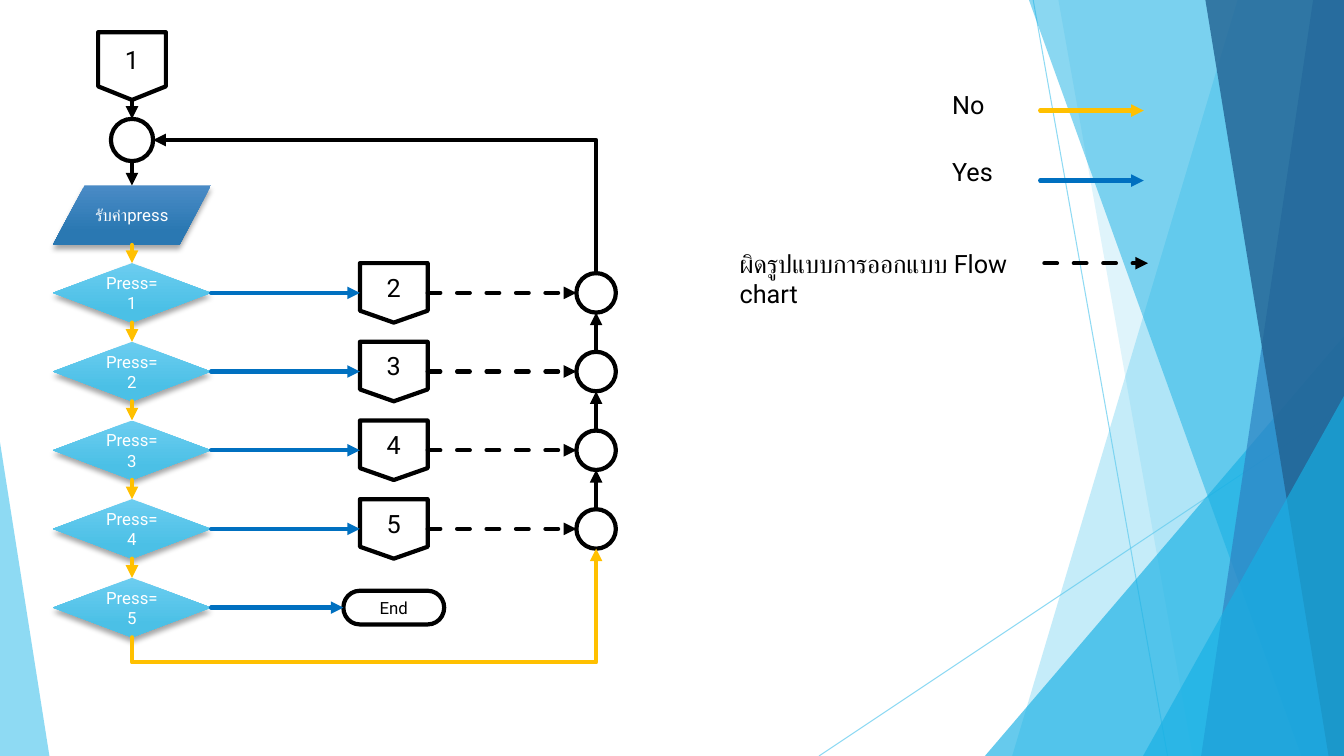
import dataclasses
import pptx
import pptx.dml.color
import pptx.enum.dml
import pptx.enum.shapes
import pptx.enum.text
import pptx.oxml
import pptx.oxml.ns
import pptx.util

Pt = pptx.util.Pt
RGB = pptx.dml.color.RGBColor.from_string
qn = pptx.oxml.ns.qn
FORM = pptx.enum.shapes.MSO_SHAPE
WIRE = pptx.enum.shapes.MSO_CONNECTOR
NS = pptx.oxml.ns.nsdecls("a")


@dataclasses.dataclass
class Theme:
    font: str = "Roboto"
    large: int = 18
    small: int = 12
    black: str = "000000"
    white: str = "FFFFFF"
    no: str = "FFC000"
    yes: str = "0070C0"
    sky: str = "5FCBEF"
    cyan: str = "17B0E4"
    blue: str = "2E83C3"
    navy: str = "226292"
    input: tuple = ("4A8BC6", "2A78B2")
    test: tuple = ("6CCDF0", "4BC0E6")


theme = Theme()
deck = pptx.Presentation()
deck.slide_width, deck.slide_height = Pt(960), Pt(540)
shapes = deck.slides.add_slide(deck.slide_layouts[6]).shapes


def node(form, x, y, w, h, text="", size=theme.large, blend=None):
    """Flowchart symbol centred on x, y; blend gives a shaded, unlined one."""
    box = shapes.add_shape(form, Pt(x - w / 2), Pt(y - h / 2), Pt(w), Pt(h))
    box.shadow.inherit = False
    if blend:
        box.fill.gradient()
        box.fill.gradient_angle = 270
        for stop, color, place in zip(box.fill.gradient_stops, blend, (0, 0.78)):
            stop.color.rgb = RGB(color)
            stop.position = place
        box.line.fill.background()
        box.element.spPr.find(qn("a:effectLst")).append(pptx.oxml.parse_xml(
            f'<a:outerShdw {NS} blurRad="{Pt(4)}" dist="{Pt(3)}" dir="5400000" rotWithShape="0">'
            f'<a:srgbClr val="{theme.black}"><a:alpha val="35000"/></a:srgbClr></a:outerShdw>'))
    else:
        box.fill.solid()
        box.fill.fore_color.rgb = RGB(theme.white)
        box.line.color.rgb = RGB(theme.black)
        box.line.width = Pt(3)
    if text:
        box.text_frame.vertical_anchor = pptx.enum.text.MSO_ANCHOR.MIDDLE
        line = box.text_frame.paragraphs[0]
        line.alignment = pptx.enum.text.PP_ALIGN.CENTER
        run = line.add_run()
        run.text = text
        run.font.name, run.font.size = theme.font, Pt(size)
        run.font.color.rgb = RGB(theme.white if blend else theme.black)
    return box


def link(a, b, color=theme.black, width=3, arrow=True, dash=False,
         kind=WIRE.STRAIGHT, start=None, stop=None):
    """Line from a to b; start and stop are (shape, site) joints."""
    wire = shapes.add_connector(kind, *map(Pt, a + b))
    wire.line.color.rgb = RGB(color)
    wire.line.width = Pt(width)
    if dash:
        wire.line.dash_style = pptx.enum.dml.MSO_LINE.DASH
    props = wire.element.spPr
    if arrow:
        edge = props.find(qn("a:ln"))
        edge.set("cap", "rnd")
        edge.append(pptx.oxml.parse_xml(f'<a:tailEnd {NS} type="triangle"/>'))
    props.append(pptx.oxml.parse_xml(f"<a:effectLst {NS}/>"))
    if start:
        wire.begin_connect(*start)
    if stop:
        wire.end_connect(*stop)
    return wire


# Backdrop: thin lines, then facets as (outline or triangle, colour, opacity)
veils = [(link(a, b, theme.sky, 0.75, arrow=False), 70)
         for a, b in (((738, 0), (834, 540)), ((960, 290), (585, 540)))]
facets = [
    ((884, 723), theme.sky, 36),            # top x, bottom x
    ((756, 852), theme.sky, 20),
    ((703.5, 240, 256.5, 300, 1), theme.cyan, 66),  # left, top, width, height, apex
    ((735, 929.5), theme.cyan, 50),
    ((938, 858), theme.blue, 70),
    ((861, 949), theme.navy, 80),
    ((816.5, 283, 143.5, 257, 1), theme.cyan, 66),
    ((0, 316, 35.3, 224, 0), theme.sky, 70),
]
for place, color, veil in facets:
    if len(place) == 2:
        top, base = place
        pen = shapes.build_freeform(Pt(top), 0)
        pen.add_line_segments([(Pt(960), 0), (Pt(960), Pt(540)), (Pt(base), Pt(540))])
        facet = pen.convert_to_shape()
    else:
        facet = shapes.add_shape(FORM.ISOSCELES_TRIANGLE, *map(Pt, place[:4]))
        facet.adjustments[0] = place[4]
    facet.shadow.inherit = False
    facet.fill.solid()
    facet.fill.fore_color.rgb = RGB(color)
    facet.line.fill.background()
    veils.append((facet, veil))
for part, veil in veils:
    for tint in part.element.spPr.iter(qn("a:srgbClr")):
        tint.append(pptx.oxml.parse_xml(f'<a:alpha {NS} val="{veil * 1000}"/>'))

# Flowchart symbols: three columns on evenly spaced rows
left, mid, right = 94.3, 281.3, 425.8
wide, high, page, ring = 113, 42.5, 48.4, 28.2
rows = [209.2 + 56.2 * i for i in range(5)]
first = node(FORM.FLOWCHART_OFFPAGE_CONNECTOR, left, 47.2, page, page, "1")
node(FORM.FLOWCHART_CONNECTOR, left, 100, 30.2, 30.2)
node(FORM.FLOWCHART_DATA, left, 153.7, wide, high, "รับค่าpress", theme.small, theme.input)
tests = [node(FORM.FLOWCHART_DECISION, left, y, wide, high, f"Press={i}",
              theme.small, theme.test) for i, y in enumerate(rows, 1)]
pages = [node(FORM.FLOWCHART_OFFPAGE_CONNECTOR, mid, y, page, high, str(i))
         for i, y in enumerate(rows[:4], 2)]
finish = node(FORM.FLOWCHART_TERMINATOR, mid, rows[4], 72, 24, "End", theme.small)
rings = [node(FORM.FLOWCHART_CONNECTOR, right, y, ring, ring) for y in rows[:4]]

# Arrows down the left column
link((left, 71.4), (left, 84.9), start=(first, 2))
link((left, 115.1), (left, 132.5))
link((left, 175), (left, rows[0] - high / 2), theme.no, stop=(tests[0], 0))
for i in range(4):
    link((left, rows[i] + high / 2), (left, rows[i + 1] - high / 2), theme.no,
         start=(tests[i], 2), stop=(tests[i + 1], 0))

# Arrows across each row and up the right column
for y, test, goal in zip(rows, tests, pages + [finish]):
    link((left + wide / 2, y), (mid - page / 2, y), theme.yes,
         start=(test, 3), stop=(goal, 1))
for y, goal in zip(rows, pages):
    link((mid + page / 2, y), (right - ring / 2, y), dash=True, start=(goal, 3))
for i in range(3):
    link((right, rows[i + 1] - ring / 2), (right, rows[i] + ring / 2),
         start=(rings[i + 1], 0))

# Elbow arrows: from, to, colour, turn in degrees, flips, preset, bend
elbows = [
    ((left, rows[4] + high / 2), (right, rows[3] + ring / 2), theme.no,
     90, ("flipH", "flipV"), "bentConnector3", -28300),
    ((right, rows[0] - ring / 2), (left + 15.1, 100), theme.black,
     270, ("flipV",), "bentConnector2", None),
]
for a, b, color, turn, flips, form, bend in elbows:
    w, h = abs(b[1] - a[1]), abs(b[0] - a[0])
    x, y = (a[0] + b[0] - w) / 2, (a[1] + b[1] - h) / 2
    wire = link((x, y), (x + w, y + h), color, kind=WIRE.ELBOW)
    frame = wire.element.spPr.find(qn("a:xfrm"))
    frame.set("rot", str(turn * 60000))
    for flip in flips:
        frame.set(flip, "1")
    shape = wire.element.spPr.find(qn("a:prstGeom"))
    shape.set("prst", form)
    if bend:
        shape.find(qn("a:avLst")).append(pptx.oxml.parse_xml(
            f'<a:gd {NS} name="adj1" fmla="val {bend}"/>'))

# Legend: text, box, arrow start, colour, dashed
legend = [
    ("No", (673, 60.5, 48, 41), (743, 79), theme.no, False),
    ("Yes", (673, 108, 51, 41), (743, 129), theme.yes, False),
    ("ผิดรูปแบบการออกแบบ Flow chart", (521.3, 173.5, 222, 50), (746, 188), theme.black, True),
]
for text, place, tip, color, dash in legend:
    link(tip, (tip[0] + 74, tip[1]), color, dash=dash)
    label = shapes.add_textbox(*map(Pt, place)).text_frame
    label.word_wrap = True
    run = label.paragraphs[0].add_run()
    run.text = text
    run.font.name, run.font.size = theme.font, Pt(theme.large)
    run.font.color.rgb = RGB(theme.black)

deck.save("out.pptx")
